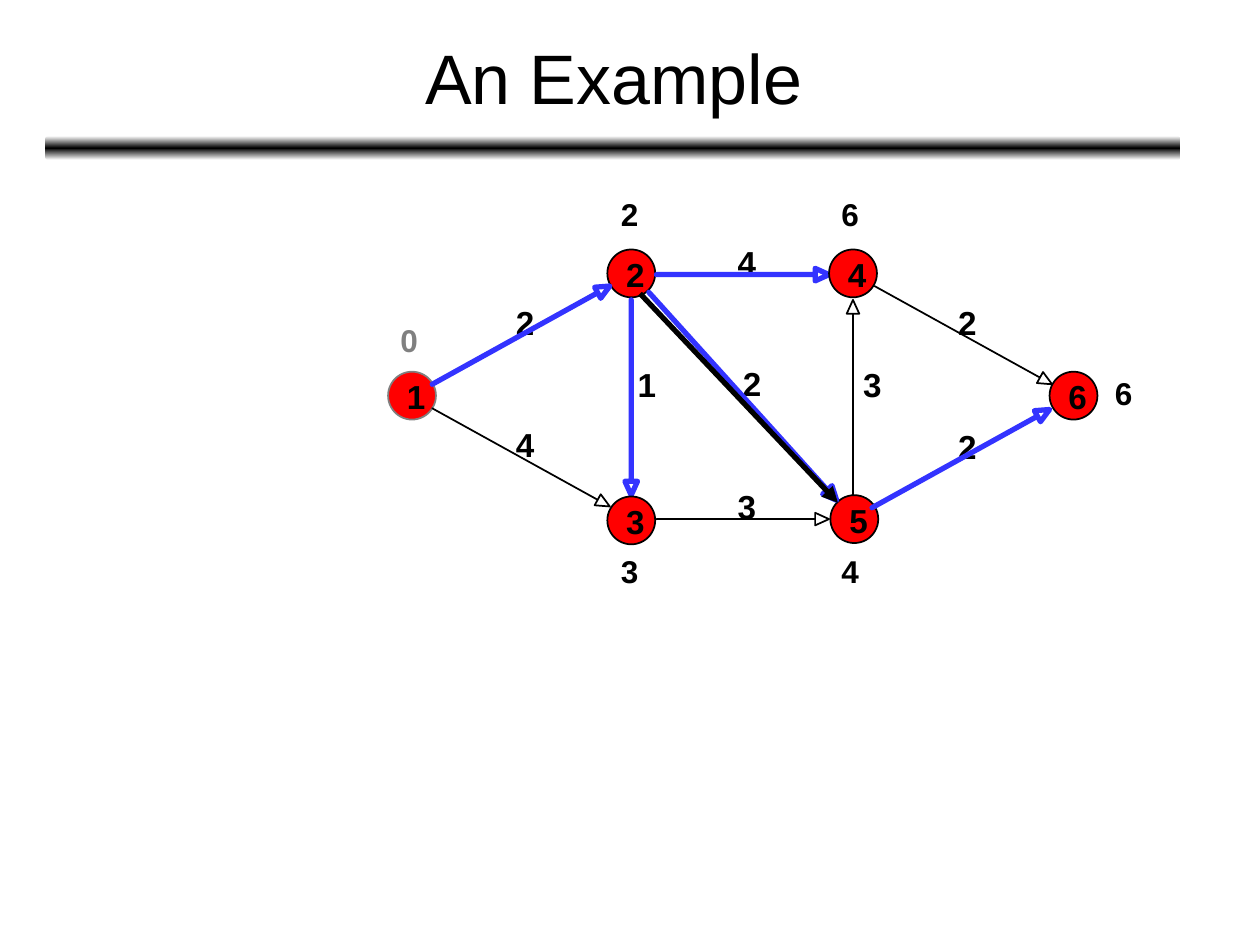
from dataclasses import dataclass
from math import hypot

from lxml import etree
from pptx import Presentation
from pptx.dml.color import RGBColor
from pptx.enum.shapes import MSO_CONNECTOR, MSO_SHAPE
from pptx.enum.text import MSO_ANCHOR, PP_ALIGN
from pptx.oxml import parse_xml
from pptx.oxml.ns import nsdecls, qn
from pptx.util import Inches, Pt


@dataclass(frozen=True)
class Theme:
    font: str = "Arial"
    black: str = "000000"
    grey: str = "808080"
    red: str = "FF0000"
    blue: str = "3333FF"
    white: str = "FFFFFF"
    title_size: int = 40
    graph_size: int = 19
    distance_size: int = 18
    thin: int = 1
    thick: int = 3


@dataclass(frozen=True)
class Node:
    name: str
    x: float  # centre
    y: float
    distance: str
    distance_at: tuple[float, float]
    outline: str = Theme.black
    distance_color: str = Theme.black
    over_edges: bool = False


@dataclass(frozen=True)
class Edge:
    start: tuple[float, float]
    tip: tuple[float, float]
    weight: str
    chosen: bool = False
    weight_dx: float = -0.04


THEME = Theme()
NODE_SIZE = 0.38
HEAD_LENGTH, HEAD_HALF = 0.11, 0.05

NODES = [
    Node("1", 3.27, 3.14, "0", (3.08, 2.5), THEME.grey, THEME.grey),
    Node("2", 5.01, 2.17, "2", (4.83, 1.5)),
    Node("3", 5.01, 4.13, "3", (4.83, 4.33), over_edges=True),
    Node("4", 6.77, 2.17, "6", (6.58, 1.5), over_edges=True),
    Node("5", 6.78, 4.12, "4", (6.58, 4.33)),
    Node("6", 8.52, 3.14, "6", (8.75, 2.92)),
]
EDGES = [
    Edge((3.43, 3.05), (4.84, 2.27), "2", chosen=True),
    Edge((5.21, 2.18), (6.58, 2.18), "4", chosen=True),
    Edge((5.15, 2.32), (6.64, 3.97), "2", chosen=True, weight_dx=0),
    Edge((5.01, 2.38), (5.01, 3.93), "1", chosen=True, weight_dx=0.05),
    Edge((5.21, 4.12), (6.58, 4.12), "3"),
    Edge((3.43, 3.24), (4.84, 4.02), "4"),
    Edge((6.94, 2.27), (8.35, 3.05), "2"),
    Edge((6.77, 3.93), (6.77, 2.38), "3", weight_dx=0.08),
    Edge((6.92, 4.03), (8.33, 3.25), "2", chosen=True, weight_dx=-0.02),
]

deck = Presentation()
deck.slide_width, deck.slide_height = Inches(10), Inches(7.5)
slide = deck.slides.add_slide(deck.slide_layouts[5])
shapes = slide.shapes


def rgb(color: str) -> RGBColor:
    return RGBColor.from_string(color)


def write(frame, text: str, *, size: int, color: str = THEME.black,
          bold: bool = False, align=PP_ALIGN.LEFT) -> None:
    para = frame.paragraphs[0]
    para.alignment = align
    span = para.add_run()
    span.text = text
    span.font.name, span.font.size = THEME.font, Pt(size)
    span.font.bold, span.font.color.rgb = bold, rgb(color)


def add_number(text: str, x: float, y: float) -> None:
    box = shapes.add_textbox(Inches(x), Inches(y), Inches(0.15), Inches(0.32))
    frame = box.text_frame
    frame.word_wrap = False
    frame.margin_left = frame.margin_right = 0
    frame.margin_top = frame.margin_bottom = 0
    write(frame, text, size=THEME.graph_size, bold=True)


def add_distance(node: Node) -> None:
    left, top = node.distance_at
    box = shapes.add_textbox(Inches(left), Inches(top), Inches(0.5), Inches(0.5))
    box.text_frame.word_wrap = True
    write(box.text_frame, node.distance, size=THEME.distance_size,
          color=node.distance_color, bold=True)


def add_node(node: Node) -> None:
    circle = shapes.add_shape(
        MSO_SHAPE.OVAL, Inches(node.x - NODE_SIZE / 2),
        Inches(node.y - NODE_SIZE / 2), Inches(NODE_SIZE), Inches(NODE_SIZE))
    circle.shadow.inherit = False
    circle.fill.solid()
    circle.fill.fore_color.rgb = rgb(THEME.red)
    circle.line.color.rgb = rgb(node.outline)
    circle.line.width = Pt(THEME.thin)
    add_number(node.name, node.x - 0.04, node.y - 0.15)


def add_weight(edge: Edge) -> None:
    (x1, y1), (x2, y2) = edge.start, edge.tip
    add_number(edge.weight, (x1 + x2) / 2 + edge.weight_dx, (y1 + y2) / 2 - 0.26)


def add_arrow(edge: Edge) -> None:
    (x1, y1), (x2, y2) = edge.start, edge.tip
    length = hypot(x2 - x1, y2 - y1)
    ux, uy = (x2 - x1) / length, (y2 - y1) / length
    base_x, base_y = x2 - HEAD_LENGTH * ux, y2 - HEAD_LENGTH * uy
    side_x, side_y = -HEAD_HALF * uy, HEAD_HALF * ux
    points = [(base_x, base_y), (base_x + side_x, base_y + side_y), (x2, y2),
              (base_x - side_x, base_y - side_y), (base_x, base_y)]
    outline = shapes.build_freeform(Inches(x1), Inches(y1))
    outline.add_line_segments([(Inches(x), Inches(y)) for x, y in points], close=True)
    arrow = outline.convert_to_shape()
    arrow.shadow.inherit = False
    arrow.fill.background()
    arrow.line.color.rgb = rgb(THEME.blue if edge.chosen else THEME.black)
    arrow.line.width = Pt(THEME.thick if edge.chosen else THEME.thin)


# Title
title = shapes.title
title.left, title.top = Inches(0.37), Inches(0.11)
title.width, title.height = Inches(9), Inches(0.99)
title.text_frame.vertical_anchor = MSO_ANCHOR.MIDDLE
write(title.text_frame, "An Example", size=THEME.title_size, align=PP_ALIGN.CENTER)

# Gradient rule below the title
rule = shapes.add_shape(MSO_SHAPE.ROUNDED_RECTANGLE, Inches(0.36), Inches(1.08),
                        Inches(9.01), Inches(0.19))
rule.shadow.inherit = False
rule.line.fill.background()
stops = "".join(
    f'<a:gs pos="{percent * 1000}"><a:srgbClr val="{color}"/></a:gs>'
    for percent, color in [(0, THEME.white), (50, THEME.black), (100, THEME.white)])
gradient = parse_xml(f'<a:gradFill {nsdecls("a")} rotWithShape="1"><a:gsLst>{stops}'
                     '</a:gsLst><a:lin ang="5400000" scaled="0"/></a:gradFill>')
rule.element.spPr.find(qn("a:prstGeom")).addnext(gradient)

# Graph
for node in NODES:
    if not node.over_edges:
        add_node(node)
for edge in EDGES:
    add_weight(edge)
    add_arrow(edge)
for node in NODES:
    if node.over_edges:
        add_node(node)
    add_distance(node)

# Current step, from node 2 to node 5
step = shapes.add_connector(MSO_CONNECTOR.STRAIGHT, Inches(5.08), Inches(2.33),
                            Inches(6.65), Inches(3.99))
step.line.color.rgb = rgb(THEME.black)
step.line.width = Pt(THEME.thick)
etree.SubElement(step.line._get_or_add_ln(), qn("a:tailEnd"), type="triangle")
etree.SubElement(step.element.spPr, qn("a:effectLst"))

deck.save("out.pptx")
